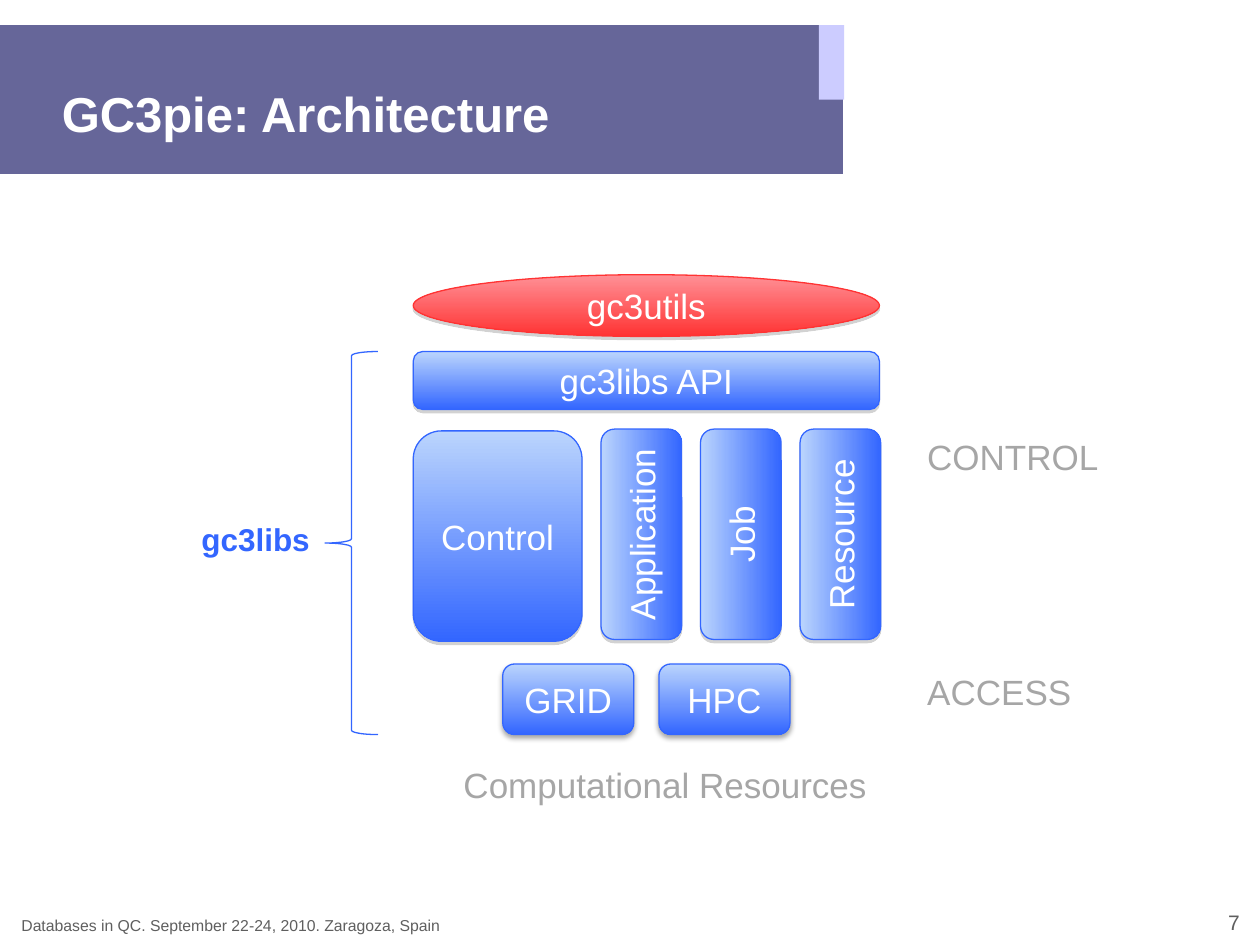
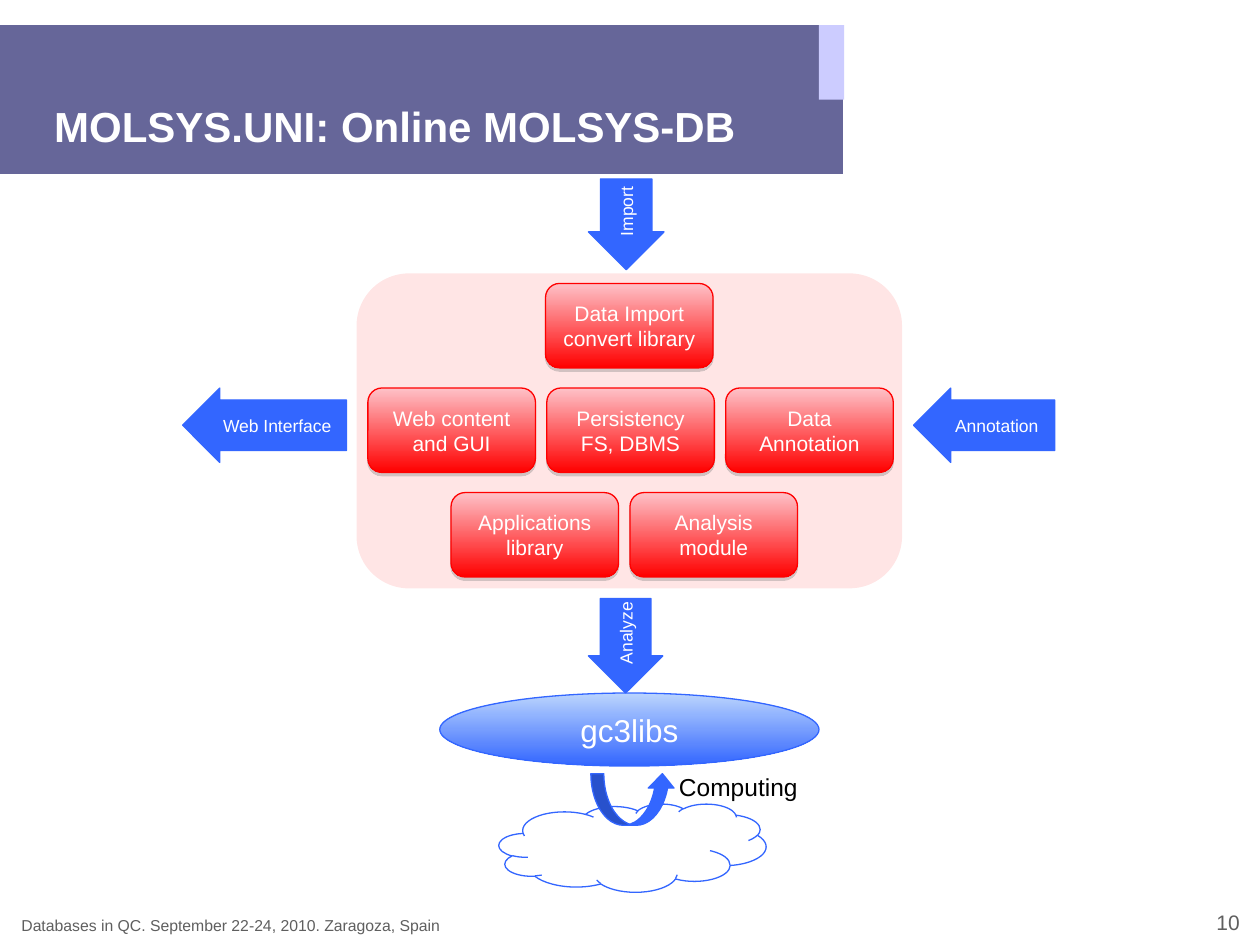
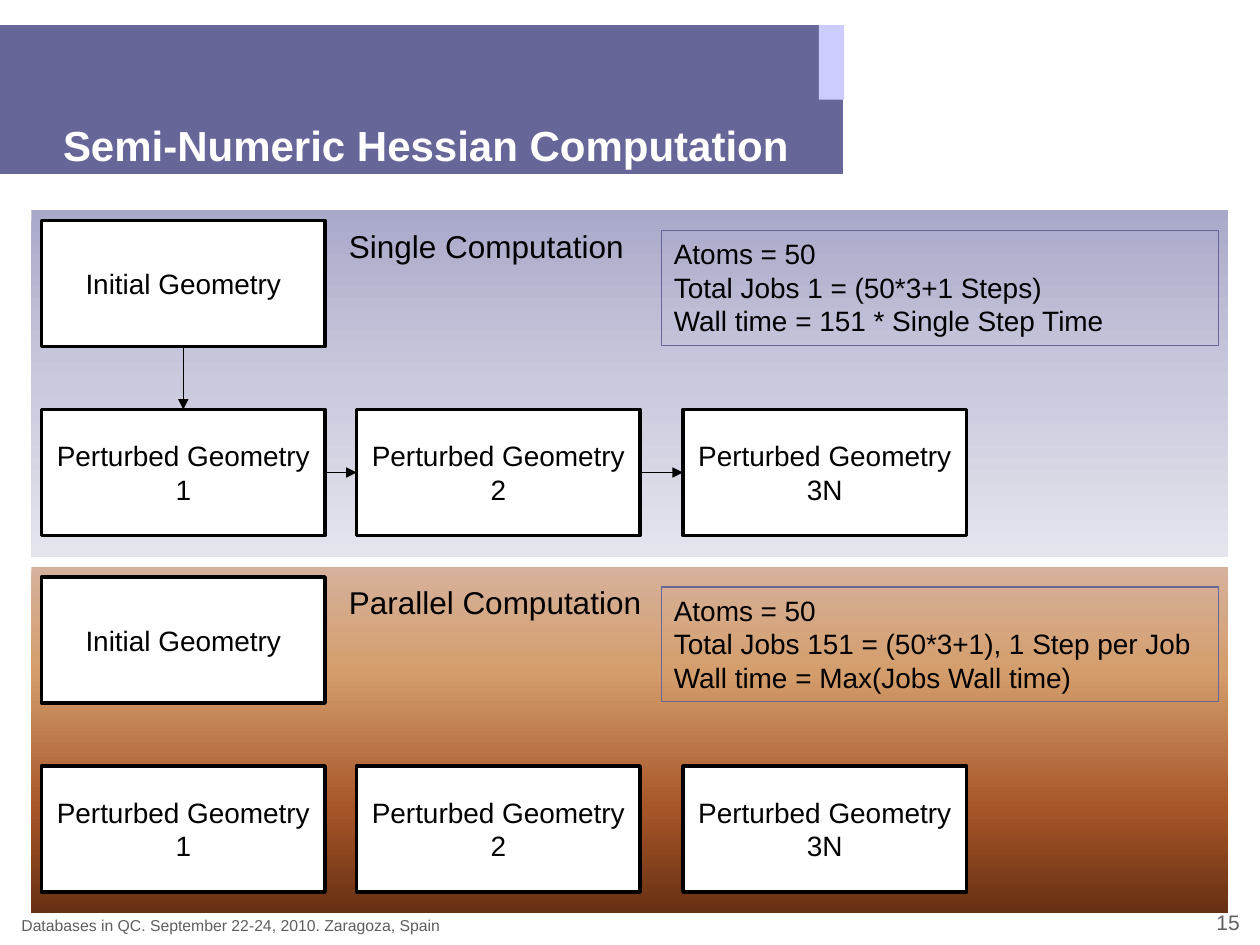
from dataclasses import dataclass

from lxml.etree import SubElement
from pptx import Presentation
from pptx.dml.color import RGBColor
from pptx.enum.shapes import MSO_CONNECTOR, MSO_SHAPE
from pptx.enum.text import MSO_ANCHOR, MSO_AUTO_SIZE, PP_ALIGN
from pptx.oxml.ns import qn
from pptx.util import Inches, Pt


@dataclass(frozen=True)
class Theme:
    font: str = "Arial"
    band: str = "666699"
    accent: str = "CCCCFF"
    white: str = "FFFFFF"
    black: str = "000000"
    footer: str = "5F5F5F"
    label: str = "A6A6A6"
    blue: str = "3366FF"
    coral: str = "FF3333"
    red: str = "FF0000"
    blue_fade: tuple = ((0, "BBD5FD"), (100, "3366FF"))
    coral_fade: tuple = ((0, "FF9096"), (100, "FF3333"))
    red_fade: tuple = ((0, "FEC2C8"), (100, "FF0000"))
    violet_fade: tuple = ((0, "A9A9CA"), (50, "CACADD"), (100, "E5E5EE"))
    copper_fade: tuple = ((0, "D6B19C"), (30, "D49E6C"), (70, "A65528"), (100, "663012"))
    hard_shadow: tuple = ("808080", 0)
    soft_shadow: tuple = ("000000", 3.1)
    big_title: int = 28
    title: int = 24
    block: int = 20
    heading: int = 18
    body: int = 16
    caption: int = 14
    module: int = 12
    arrow: int = 10
    foot: int = 9


T = Theme()
FOOTER = "Databases in QC. September 22-24, 2010. Zaragoza, Spain"
ZERO_INSETS = (0, 0, 0, 0)

# Architecture
OBJECT_COLUMNS = ["Application", "Job", "Resource"]
BACKENDS = ["GRID", "HPC"]
LAYER_LABELS = [
    ("CONTROL", (7.26, 3.41, 1.67, 0.44)),
    ("ACCESS", (7.26, 5.27, 1.81, 0.44)),
    ("Computational Resources", (3.58, 6.01, 3.42, 0.44)),
]

# Online database: (left of the row, modules in it)
MODULE_ROWS = [
    (4.33, ["Data Import convert library"]),
    (2.92, ["Web content and GUI", "Persistency\nFS, DBMS", "Data Annotation"]),
    (3.58, ["Applications library", "Analysis\nmodule"]),
]
FLOWS = [
    ("Web Interface", (1.45, 3.08, 1.3, 0.59), 0),
    ("Analyze", (4.59, 4.83, 0.75, 0.59), 270),
    ("Import", (4.61, 1.48, 0.72, 0.6), 270),
    ("Annotation", (7.25, 3.08, 1.12, 0.59), 0),
]

# Hessian computation
GEOMETRIES = [("Perturbed Geometry 1", 0.33), ("Perturbed Geometry 2", 2.83),
              ("Perturbed Geometry 3N", 5.42)]
COMPUTATIONS = [
    {"heading": "Single Computation", "fade": T.violet_fade, "chained": True,
     "facts": ["Atoms = 50", "Total Jobs 1 = (50*3+1 Steps)",
               "Wall time = 151 * Single Step Time"]},
    {"heading": "Parallel Computation", "fade": T.copper_fade, "chained": False,
     "facts": ["Atoms = 50", "Total Jobs 151 = (50*3+1), 1 Step per Job",
               "Wall time = Max(Jobs Wall time)"]},
]


def rgb(colour):
    return RGBColor.from_string(colour)


def inches(box):
    return [Inches(length) for length in box]


def write(shape, text, size, colour, bold=False, align=PP_ALIGN.LEFT,
          anchor=MSO_ANCHOR.TOP, insets=None, wrap=True):
    frame = shape.text_frame
    frame.text = text
    frame.word_wrap = wrap
    frame.auto_size = MSO_AUTO_SIZE.NONE
    frame.vertical_anchor = anchor
    if insets:
        (frame.margin_left, frame.margin_top,
         frame.margin_right, frame.margin_bottom) = inches(insets)
    for paragraph in frame.paragraphs:
        paragraph.alignment = align
        for run in paragraph.runs:
            run.font.name = T.font
            run.font.size = Pt(size)
            run.font.bold = bold
            run.font.color.rgb = rgb(colour)


def add_label(slide, text, box, size, colour, **style):
    write(slide.shapes.add_textbox(*inches(box)), text, size, colour, **style)


def paint(shape, fill):
    """Fill with nothing, one colour, or a top-to-bottom fade given as stops."""
    if fill is None:
        shape.fill.background()
    elif isinstance(fill, str):
        shape.fill.solid()
        shape.fill.fore_color.rgb = rgb(fill)
    else:
        shape.fill.gradient()
        shape.fill.gradient_angle = 270
        stops = shape._element.spPr.find(".//" + qn("a:gsLst"))
        for stop in list(stops):
            stops.remove(stop)
        for percent, colour in fill:
            stop = SubElement(stops, qn("a:gs"), pos=str(percent * 1000))
            SubElement(stop, qn("a:srgbClr"), val=colour)


def cast_shadow(shape, colour, blur):
    effects = shape._element.spPr.find(qn("a:effectLst"))
    shadow = SubElement(effects, qn("a:outerShdw"), blurRad=str(Pt(blur)),
                        dist=str(Pt(1.8)), dir="5400000", rotWithShape="0")
    tint = SubElement(shadow, qn("a:srgbClr"), val=colour)
    SubElement(tint, qn("a:alpha"), val="35000")


def add_block(slide, kind, box, fill=None, line=None, width=0.75, shadow=None,
              adjust=(), rotation=0):
    block = slide.shapes.add_shape(kind, *inches(box))
    block.shadow.inherit = False
    block.rotation = rotation
    for index, value in enumerate(adjust):
        block.adjustments[index] = value
    paint(block, fill)
    if line:
        block.line.color.rgb = rgb(line)
        block.line.width = Pt(width)
    else:
        block.line.fill.background()
    if shadow:
        cast_shadow(block, *shadow)
    return block


def add_named_block(slide, text, kind, box, size, fill, line, colour=T.white,
                    insets=None, **look):
    block = add_block(slide, kind, box, fill, line, **look)
    write(block, text, size, colour, align=PP_ALIGN.CENTER,
          anchor=MSO_ANCHOR.MIDDLE, insets=insets)
    return block


def add_arrow(slide, start, start_side, end, end_side):
    arrow = slide.shapes.add_connector(MSO_CONNECTOR.STRAIGHT, 0, 0, 0, 0)
    arrow.begin_connect(start, start_side)
    arrow.end_connect(end, end_side)
    arrow.line.color.rgb = rgb(T.black)
    arrow.line.width = Pt(0.75)
    properties = arrow._element.spPr
    SubElement(properties.find(qn("a:ln")), qn("a:tailEnd"), type="triangle")
    SubElement(properties, qn("a:effectLst"))


def add_bands_to_layout(slide):
    """Draw the title bands once, then hand them to the slide's layout."""
    bands = [add_block(slide, MSO_SHAPE.RECTANGLE, box, fill) for box, fill in (
        ((0, 0.2, 6.69, 1.18), T.band), ((6.5, 0.2, 0.2, 0.59), T.accent))]
    for position, band in enumerate(bands, start=2):
        slide.slide_layout.shapes._spTree.insert(position, band._element)


def start_slide(deck, title, left, top, number, size=T.title):
    slide = deck.slides.add_slide(deck.slide_layouts[5])
    heading = slide.shapes.title
    heading.left, heading.top, heading.width, heading.height = inches((left, top, 5.82, 0.76))
    write(heading, title, size, T.white, bold=True,
          anchor=MSO_ANCHOR.BOTTOM, insets=ZERO_INSETS)
    add_label(slide, number, (8.17, 7.22, 1.67, 0.2), T.module, T.footer,
              align=PP_ALIGN.RIGHT, anchor=MSO_ANCHOR.BOTTOM, insets=ZERO_INSETS)
    return slide


def add_footer(slide):
    add_label(slide, FOOTER, (0.17, 7.25, 5.5, 0.17), T.foot, T.footer,
              anchor=MSO_ANCHOR.BOTTOM, insets=ZERO_INSETS, wrap=False)


def build_architecture(deck):
    slide = start_slide(deck, "GC3pie: Architecture", 0.49, 0.37, "7", T.big_title)
    add_bands_to_layout(slide)

    def add_layer(text, box, shadow=T.hard_shadow, rotation=0):
        add_named_block(slide, text, MSO_SHAPE.ROUNDED_RECTANGLE, box, T.block,
                        T.blue_fade, T.blue, shadow=shadow, rotation=rotation)

    for index, backend in enumerate(BACKENDS):
        add_layer(backend, (3.99 + 1.24 * index, 5.27, 1.04, 0.56), T.soft_shadow)
    add_layer("Control", (3.28, 3.42, 1.34, 1.67))
    length, thickness = 1.67, 0.64
    for index, column in enumerate(OBJECT_COLUMNS):
        centre = 5.09 + 0.79 * index
        add_layer(column, (centre - length / 2, 3.92, length, thickness), rotation=270)
    add_layer("gc3libs API", (3.28, 2.79, 3.7, 0.46))
    add_named_block(slide, "gc3utils", MSO_SHAPE.OVAL, (3.28, 2.18, 3.7, 0.49), T.block,
                    T.coral_fade, T.coral, shadow=T.hard_shadow)
    for text, box in LAYER_LABELS:
        add_label(slide, text, box, T.block, T.label)
    add_block(slide, MSO_SHAPE.LEFT_BRACE, (2.58, 2.79, 0.42, 3.04), line=T.blue,
              adjust=(0.08, 0.5))
    add_label(slide, "gc3libs", (1.5, 4.08, 1.07, 0.4), T.heading, T.blue,
              bold=True, wrap=False)
    add_footer(slide)


def build_online_database(deck):
    slide = start_slide(deck, "MOLSYS.UNI: Online MOLSYS-DB", 0.43, 0.44, "10")
    panel = add_block(slide, MSO_SHAPE.ROUNDED_RECTANGLE, (2.83, 2.17, 4.33, 2.5), T.red)
    tint = panel._element.spPr.find(qn("a:solidFill"))[0]
    SubElement(tint, qn("a:alpha"), val="10000")

    add_block(slide, MSO_SHAPE.CLOUD, (3.96, 6.38, 2.12, 0.7), line=T.blue)
    add_named_block(slide, "gc3libs", MSO_SHAPE.OVAL, (3.49, 5.5, 3.01, 0.58), T.heading,
                    T.blue_fade, T.blue, insets=ZERO_INSETS)
    add_label(slide, "Computing", (5.29, 6.08, 1.21, 0.34), T.caption, T.black)
    add_block(slide, MSO_SHAPE.CURVED_UP_ARROW, (4.69, 6.14, 0.67, 0.41), T.blue, T.blue,
              adjust=(0.25, 0.5, 0.28))
    for text, box, rotation in FLOWS:
        add_named_block(slide, text, MSO_SHAPE.LEFT_ARROW, box, T.arrow, T.blue, T.blue,
                        insets=ZERO_INSETS, adjust=(0.68, 0.5), rotation=rotation)
    for row, (left, modules) in enumerate(MODULE_ROWS):
        for column, module in enumerate(modules):
            box = (left + 1.42 * column, 2.25 + 0.83 * row, 1.33, 0.67)
            add_named_block(slide, module, MSO_SHAPE.ROUNDED_RECTANGLE, box, T.module,
                            T.red_fade, T.red, shadow=T.hard_shadow)
    add_footer(slide)


def build_hessian(deck):
    slide = start_slide(deck, "Semi-Numeric Hessian Computation", 0.5, 0.59, "15")
    add_footer(slide)

    def add_geometry(text, left, top):
        return add_named_block(slide, text, MSO_SHAPE.RECTANGLE, (left, top, 2.25, 1),
                               T.body, T.white, T.black, colour=T.black, width=2)

    for index, computation in enumerate(COMPUTATIONS):
        top = 1.67 + 2.83 * index
        add_block(slide, MSO_SHAPE.RECTANGLE, (0.25, top, 9.5, 2.75), computation["fade"])
        initial = add_geometry("Initial Geometry", 0.33, top + 0.08)
        perturbed = [add_geometry(text, left, top + 1.58) for text, left in GEOMETRIES]
        if computation["chained"]:
            add_arrow(slide, initial, 2, perturbed[0], 0)
            for before, after in zip(perturbed, perturbed[1:]):
                add_arrow(slide, before, 3, after, 1)
        add_label(slide, computation["heading"], (2.67, top + 0.08, 3.33, 0.4),
                  T.heading, T.black)
        facts = add_block(slide, MSO_SHAPE.RECTANGLE, (5.25, top + 0.16, 4.42, 0.91),
                          line=T.band)
        write(facts, "\n".join(computation["facts"]), T.body, T.black)


def main():
    deck = Presentation()
    deck.slide_width, deck.slide_height = Inches(10), Inches(7.5)
    build_architecture(deck)
    build_online_database(deck)
    build_hessian(deck)
    deck.save("out.pptx")


if __name__ == "__main__":
    main()
